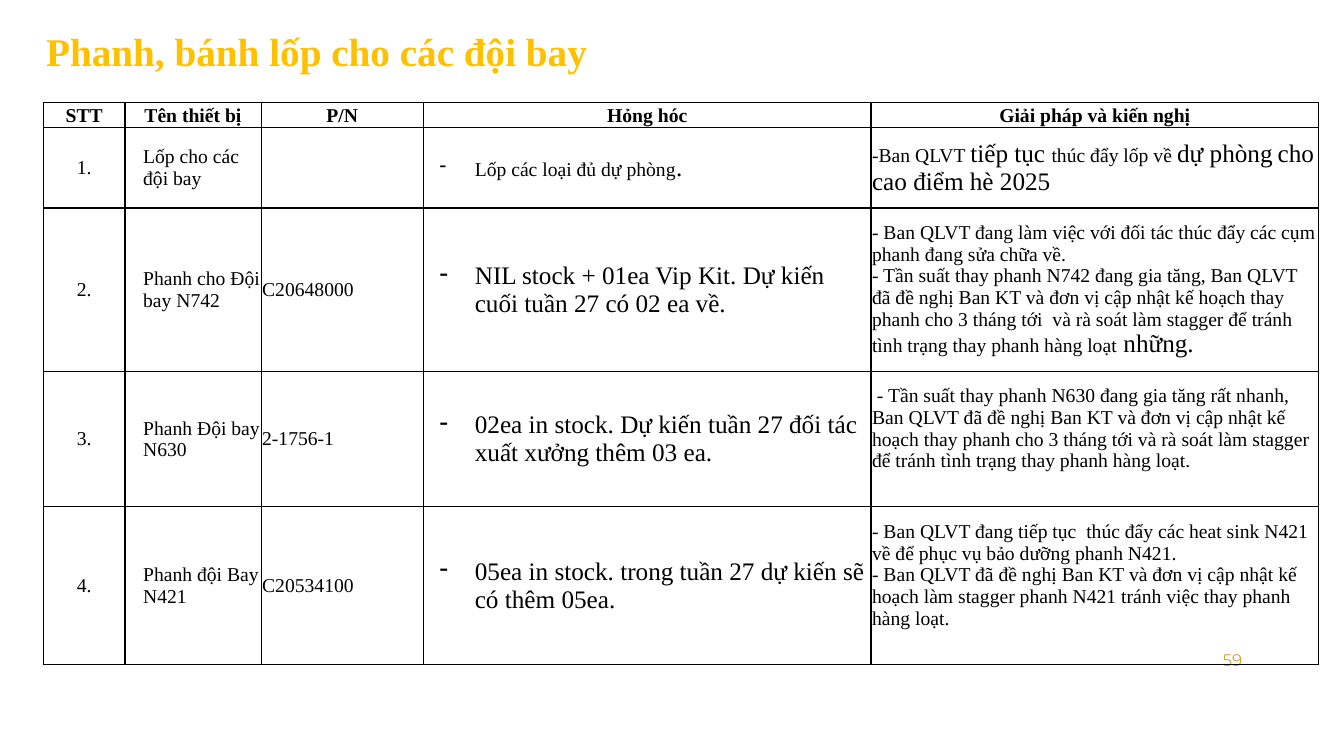
from dataclasses import dataclass

from pptx import Presentation
from pptx.dml.color import RGBColor
from pptx.enum.text import MSO_ANCHOR, PP_ALIGN
from pptx.oxml.ns import qn
from pptx.oxml.xmlchemy import OxmlElement

LEFT, CENTER, RIGHT = PP_ALIGN.LEFT, PP_ALIGN.CENTER, PP_ALIGN.RIGHT
MIDDLE = MSO_ANCHOR.MIDDLE
PX = 9144


@dataclass(frozen=True)
class Theme:
    serif: str = "Times New Roman"
    sans: str = "Montserrat"
    ink: str = "000000"
    title: str = "FFC000"
    number: str = "D2A43B"
    title_size: int = 28
    large: int = 18
    body: int = 14
    small: int = 12
    spacer: int = 8
    border: int = 12700


T = Theme()
COLUMNS = [81, 135, 161, 444, 444]
ROWS = [24, 24, 80, 162, 134, 157]
HEADINGS = ["STT", "Tên thiết bị", "P/N", "Hỏng hóc", "Giải pháp và kiến nghị"]
B, L = T.body, T.large
DEVICES = [
    ("Lốp cho các đội bay", "",
     [("Lốp các loại đủ dự phòng", B), (".", L)],
     [[("-Ban QLVT ", B), ("tiếp tục ", L), ("thúc đẩy lốp về ", B),
       ("dự phòng", L), (" ", B), ("cho cao điểm hè 2025", L)]], 0),
    ("Phanh cho Đội bay N742", "C20648000",
     [("NIL stock + 01ea Vip Kit. Dự kiến cuối tuần 27 có 02 ea về.", L)],
     [[("- Ban QLVT đang làm việc với đối tác thúc đẩy các cụm phanh đang sửa chữa về.", B)],
      [("- Tần suất thay phanh N742 đang gia tăng, Ban QLVT đã đề nghị Ban KT và đơn vị "
        "cập nhật kế hoạch thay phanh cho 3 tháng tới  và rà soát làm stagger để tránh "
        "tình trạng thay phanh hàng loạt", B), (" những.", L)]], 0),
    ("Phanh Đội bay N630", "2-1756-1",
     [("02ea in stock. Dự kiến tuần 27 đối tác xuất xưởng thêm 03 ea.", L)],
     [[(" - Tần suất thay phanh N630 đang gia tăng rất nhanh, Ban QLVT đã đề nghị Ban KT "
        "và đơn vị cập nhật kế hoạch thay phanh cho 3 tháng tới và rà soát làm stagger "
        "để tránh tình trạng thay phanh hàng loạt.", B)]], 21),
    ("Phanh đội Bay N421", "C20534100",
     [("05ea in stock. trong tuần 27 dự kiến sẽ có thêm 05ea.", L)],
     [[("- Ban QLVT đang tiếp tục  thúc đẩy các heat sink N421 về để phục vụ bảo dưỡng "
        "phanh N421.", B)],
      [("- Ban QLVT đã đề nghị Ban KT và đơn vị cập nhật kế hoạch làm stagger phanh N421 "
        "tránh việc thay phanh hàng loạt.", B)]], 21),
]


def set_attrs(obj, **values):
    for name, value in values.items():
        setattr(obj, name, value)


def add_run(p, text, size, color=T.ink, font=T.serif, bold=False):
    r = p.add_run()
    r.text = text
    set_attrs(r.font, size=size * 12700, name=font, bold=bold)
    r.font.color.rgb = RGBColor.from_string(color)


def set_indent(p, margin, hanging=0, bullet=None):
    pPr = p._p.get_or_add_pPr()
    pPr.set("marL", str(margin * PX))
    pPr.set("indent", str(-hanging * PX))
    if bullet:
        bu = OxmlElement("a:buChar")
        bu.set("char", bullet)
        pPr.append(bu)


def add_label(s, box, text, align, **style):
    tf = s.shapes.add_textbox(*(v * PX for v in box)).text_frame
    set_attrs(tf, word_wrap=True, vertical_anchor=MIDDLE, margin_left=10 * PX,
              margin_right=10 * PX, margin_top=5 * PX, margin_bottom=5 * PX)
    p = tf.paragraphs[0]
    p.alignment = align
    add_run(p, text, **style)
    return p


def set_borders(cell, visible):
    tcPr = cell._tc.get_or_add_tcPr()
    for i, side in enumerate("LRTB"):
        ln = OxmlElement(f"a:ln{side}")
        ln.set("w", str(T.border))
        if side in visible:
            fill = OxmlElement("a:solidFill")
            color = OxmlElement("a:srgbClr")
            color.set("val", T.ink)
            fill.append(color)
        else:
            fill = OxmlElement("a:noFill")
        ln.append(fill)
        tcPr.insert(i, ln)


def fill_cell(cell, paragraphs, align=LEFT, indent=None, bold=False):
    tf = cell.text_frame
    for i, runs in enumerate(paragraphs):
        p = tf.add_paragraph() if i else tf.paragraphs[0]
        if indent:
            set_indent(p, *indent)
        p.alignment = align
        for text, size in runs:
            add_run(p, text, size, bold=bold)


def add_device_table(s, box):
    frame = s.shapes.add_table(len(ROWS), len(COLUMNS), *(v * PX for v in box))
    table = frame.table
    set_attrs(table, first_row=False, horz_banding=False)
    for column, width in zip(table.columns, COLUMNS):
        column.width = width * PX
    for i, (row, height) in enumerate(zip(table.rows, ROWS)):
        row.height = height * PX
        for cell in row.cells:
            set_attrs(cell, vertical_anchor=MIDDLE, margin_left=PX,
                      margin_right=PX, margin_top=PX, margin_bottom=0)
            cell.fill.background()
            set_borders(cell, "LRTB" if i else "B")
            if i == 0:
                end = OxmlElement("a:endParaRPr")
                end.set("sz", str(T.spacer * 100))
                cell._tc.find(qn("a:txBody")).find(qn("a:p")).append(end)
    table.cell(0, 0).merge(table.cell(0, len(COLUMNS) - 1))
    for j, heading in enumerate(HEADINGS):
        fill_cell(table.cell(1, j), [[(heading, B)]], CENTER, bold=True)
    for n, (name, part, fault, actions, lift) in enumerate(DEVICES, 1):
        cells = list(table.rows[n + 1].cells)
        fill_cell(cells[0], [[(f"{n}.", B)]], CENTER)
        fill_cell(cells[1], [[(name, B)]], indent=(17,))
        if part:
            fill_cell(cells[2], [[(part, B)]])
        fill_cell(cells[3], [fault], indent=(50, 35, "-"))
        fill_cell(cells[4], actions)
        cells[4].margin_bottom = lift * PX


def build_slide(prs):
    s = prs.slides.add_slide(prs.slide_layouts[6])
    title = add_label(s, (30, 14, 1166, 78), "Phanh, bánh lốp cho các đội bay", LEFT,
                      size=T.title_size, color=T.title, bold=True)
    title.line_spacing = 0.9
    set_indent(title, 6)
    add_label(s, (942, 635, 300, 40), "59", RIGHT,
              size=T.small, color=T.number, font=T.sans)
    add_device_table(s, (43, 78, sum(COLUMNS), sum(ROWS)))


def main():
    prs = Presentation()
    set_attrs(prs, slide_width=1333 * PX, slide_height=750 * PX)
    build_slide(prs)
    prs.save("out.pptx")


if __name__ == "__main__":
    main()
